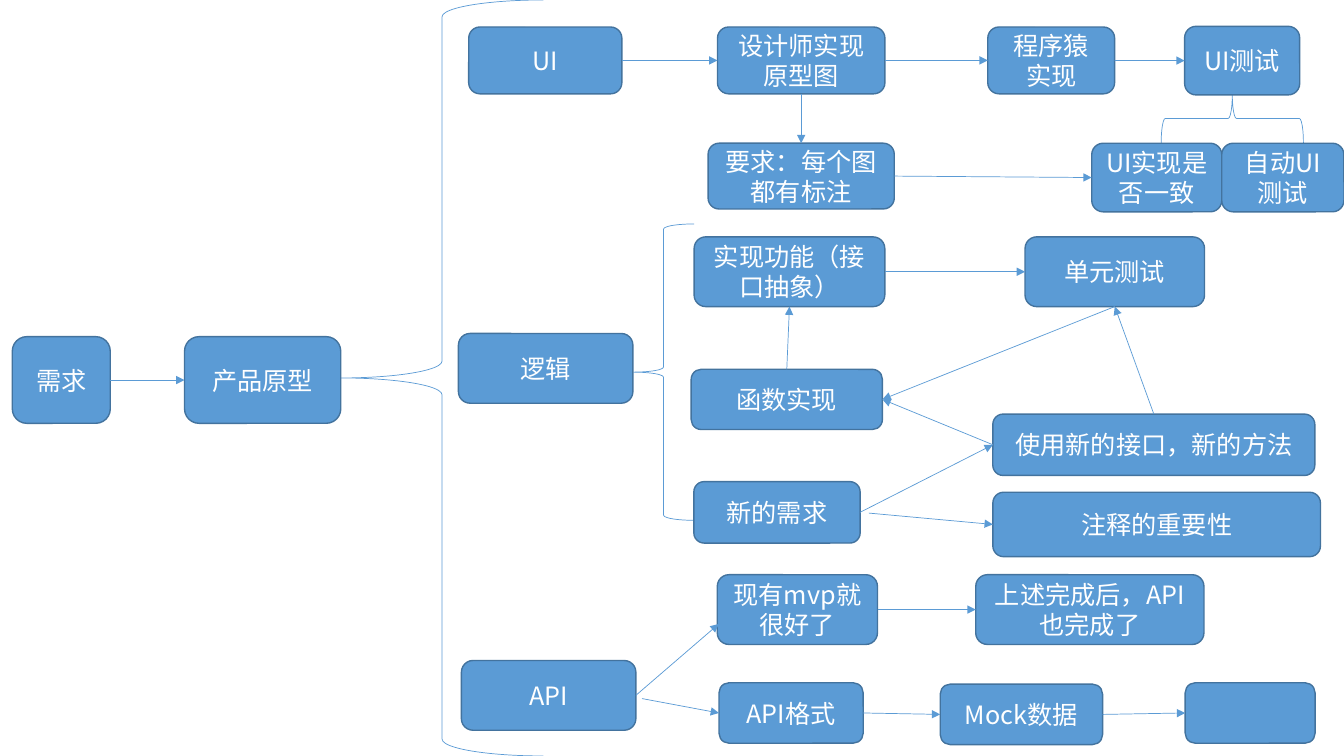
from lxml.etree import SubElement
from pptx import Presentation
from pptx.dml.color import RGBColor
from pptx.enum.lang import MSO_LANGUAGE_ID as Language
from pptx.enum.shapes import MSO_CONNECTOR as Connector, MSO_SHAPE as Shape
from pptx.enum.text import MSO_ANCHOR as Anchor, PP_ALIGN as Align
from pptx.oxml.ns import qn
from pptx.util import Pt

FONT = "Noto Sans CJK SC"
BLUE, DARK_BLUE, WHITE = "5B9BD5", "43739E", "FFFFFF"
TEXT_FORMAT = {"name": FONT, "size": Pt(18), "language_id": Language.SIMPLIFIED_CHINESE}
SITES = {"top": 0, "left": 1, "bottom": 2, "right": 3}

BOXES = {
    "prototype": ("产品原型", 131.8, 240.5, 111.6, 61.9),
    "demand": ("需求", 8.8, 240.5, 70, 61.9),
    "ui": ("UI", 334.8, 19.3, 109.4, 47.7),
    "logic": ("逻辑", 327.5, 238.2, 124.6, 49.8),
    "api": ("API", 329.6, 471.8, 124.6, 49.8),
    "design": ("设计师实现原型图", 512.5, 19.3, 119.6, 47.7),
    "coding": ("程序猿实现", 705.6, 19.3, 90.6, 47.7),
    "labels": ("要求：每个图都有标注", 505.8, 102.3, 133, 47),
    "ui_test": ("UI测试", 846.2, 18.8, 82.2, 49),
    "ui_match": ("UI实现是否一致", 779.8, 102.3, 92.9, 49),
    "auto_test": ("自动UI测试", 872.7, 102.3, 87.3, 49),
    "feature": ("实现功能（接口抽象）", 495.8, 169.2, 136.2, 49.8),
    "unit_test": ("单元测试", 732.2, 169.2, 128.2, 49.8),
    "function": ("函数实现", 493.7, 263.8, 136.6, 43),
    "mvp": ("现有mvp就很好了", 512.4, 410.5, 114.4, 49.8),
    "api_format": ("API格式", 513.6, 487.7, 103, 43.2),
    "mock": ("Mock数据", 671.6, 488.7, 116, 43.2),
    "blank": ("", 846.6, 487.7, 92.8, 43.2),
    "api_done": ("上述完成后，API也完成了", 697, 410.5, 163, 49.8),
    "new_demand": ("新的需求", 495.6, 344, 118.8, 43.9),
    "new_method": ("使用新的接口，新的方法", 709.2, 295.8, 230, 43.8),
    "comments": ("注释的重要性", 709.2, 351.6, 234, 46),
}

BRACES = [
    (243.4, 0, 144.7, 540, 0),
    (862.6, 33.8, 35.2, 101.6, 90),
    (452.2, 160, 43.6, 211.7, 0),
]

CHAINS = [
    ("demand", "prototype"),
    ("ui", "design", "coding", "ui_test"),
    ("labels", "ui_match"),
    ("feature", "unit_test"),
    ("api_format", "mock", "blank"),
    ("mvp", "api_done"),
    ("new_demand", "new_method"),
]

ARROWS = [
    (("design", "bottom"), ("labels", "top")),
    (("unit_test", "bottom"), ("function", "right")),
    (("function", "top"), ("feature", "bottom")),
    (("new_method", "top"), ("unit_test", "bottom")),
    (("new_method", "left"), ("function", "right")),
    (("api", "right"), (513.4, 445.7)),
    ((458.6, 499), ("api_format", "left")),
    ((620.6, 366.5), ("comments", "left")),
]


def color(value):
    """Turn a hex string into a colour."""
    return RGBColor.from_string(value)


def apply_format(target, values):
    """Set each named attribute on the target."""
    for name, value in values.items():
        setattr(target, name, value)


def style_line(shape, value, width):
    """Give a shape or connector a solid line."""
    shape.line.color.rgb = color(value)
    shape.line.width = Pt(width)


def write_text(shape, text):
    """Write centred white text in a box."""
    apply_format(shape.text_frame, {"word_wrap": True, "vertical_anchor": Anchor.MIDDLE})
    paragraph = shape.text_frame.paragraphs[0]
    paragraph.alignment = Align.CENTER
    run = paragraph.add_run()
    run.text = text
    run.font.color.rgb = color(WHITE)
    apply_format(run.font, TEXT_FORMAT)
    SubElement(run.font._element, qn("a:ea"), typeface=FONT)


def add_box(slide, text, *place):
    """Add a rounded box with an optional label."""
    shape = slide.shapes.add_shape(Shape.ROUNDED_RECTANGLE, *map(Pt, place))
    shape.shadow.inherit = False
    shape.fill.solid()
    shape.fill.fore_color.rgb = color(BLUE)
    style_line(shape, DARK_BLUE, 1)
    if text:
        write_text(shape, text)
    return shape


def add_brace(slide, left, top, width, height, rotation):
    """Add an unfilled left brace."""
    shape = slide.shapes.add_shape(Shape.LEFT_BRACE, Pt(left), Pt(top), Pt(width), Pt(height))
    shape.shadow.inherit = False
    shape.fill.background()
    shape.rotation = rotation
    style_line(shape, BLUE, 0.5)


def add_arrow(slide, boxes, start, end):
    """Add an arrow whose ends are box sides or free points."""
    points = [(0, 0) if point[0] in boxes else point for point in (start, end)]
    lengths = [Pt(length) for point in points for length in point]
    arrow = slide.shapes.add_connector(Connector.STRAIGHT, *lengths)
    for connect, (name, side) in ((arrow.begin_connect, start), (arrow.end_connect, end)):
        if name in boxes:
            connect(boxes[name], SITES[side])
    style_line(arrow, BLUE, 0.5)
    SubElement(arrow.line._get_or_add_ln(), qn("a:tailEnd"), type="triangle")
    SubElement(arrow._element.spPr, qn("a:effectLst"))


def main():
    """Build the development flow slide."""
    presentation = Presentation()
    apply_format(presentation, {"slide_width": Pt(960), "slide_height": Pt(540)})
    slide = presentation.slides.add_slide(presentation.slide_layouts[6])
    for brace in BRACES:
        add_brace(slide, *brace)
    boxes = {name: add_box(slide, *box) for name, box in BOXES.items()}
    for chain in CHAINS:
        for source, target in zip(chain, chain[1:]):
            add_arrow(slide, boxes, (source, "right"), (target, "left"))
    for start, end in ARROWS:
        add_arrow(slide, boxes, start, end)
    presentation.save("out.pptx")


if __name__ == "__main__":
    main()
